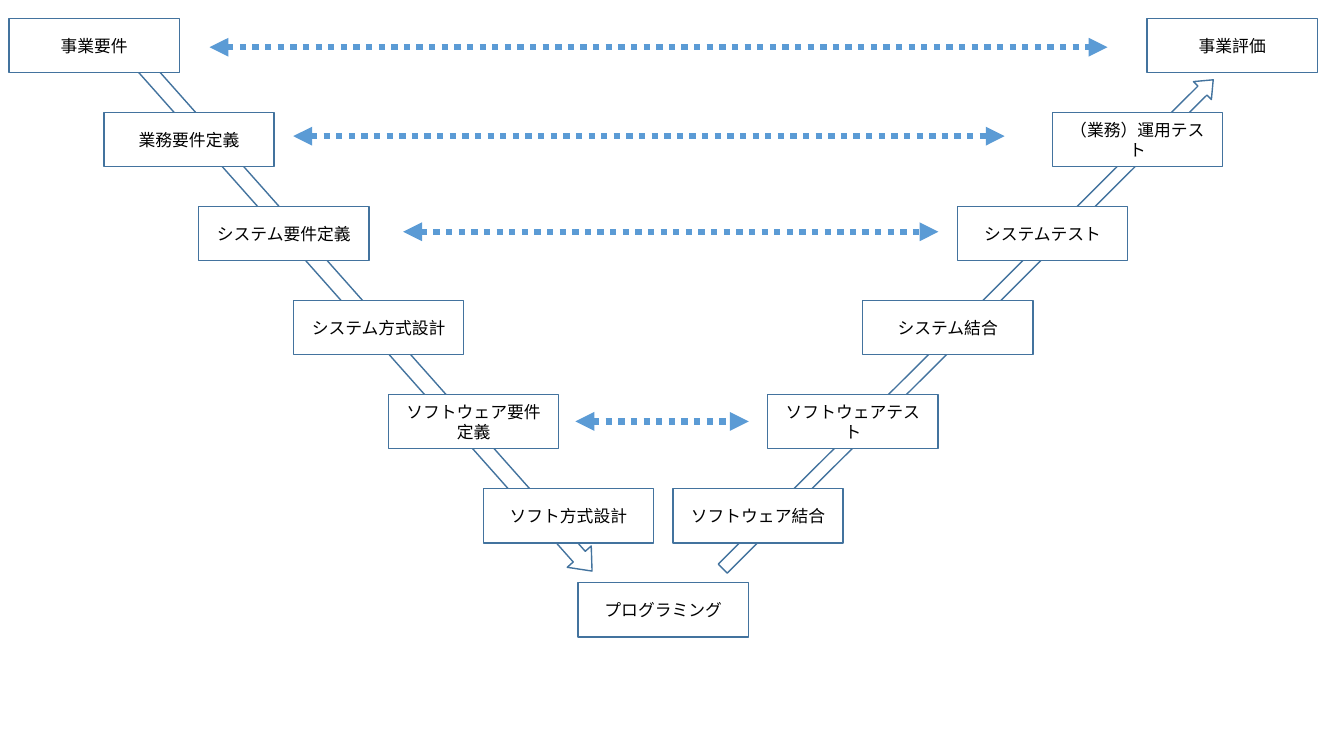
"""Draw the V-model of development phases and the tests that match them."""
from lxml.etree import SubElement
from pptx import Presentation
from pptx.dml.color import RGBColor
from pptx.enum.dml import MSO_LINE
from pptx.enum.shapes import MSO_CONNECTOR, MSO_SHAPE
from pptx.enum.text import MSO_ANCHOR, PP_ALIGN
from pptx.oxml.ns import qn
from pptx.util import Cm, Pt

WHITE = RGBColor(0xFF, 0xFF, 0xFF)
BLACK = RGBColor(0x00, 0x00, 0x00)
OUTLINE = RGBColor(0x43, 0x73, 0x9E)
LINK_BLUE = RGBColor(0x5B, 0x9B, 0xD5)

PHASES = [
    "事業要件", "業務要件定義", "システム要件定義", "システム方式設計",
    "ソフトウェア要件定義", "ソフト方式設計", "プログラミング",
    "ソフトウェア結合", "ソフトウェアテスト", "システム結合",
    "システムテスト", "（業務）運用テスト", "事業評価",
]
FIRST_LEFT, FIRST_TOP = 0.23, 0.46
STEP_X, STEP_Y = 2.39, 2.37
PHASE_WIDTH, PHASE_HEIGHT = 4.29, 1.37

FLOWS = [
    (15.67, 7.85, 17.45, 0.64, 315.1),
    (-0.38, 7.11, 18.39, 0.81, 48.4),
]
LINKS = [
    (5.28, 27.91, 1.19),
    (7.39, 25.32, 3.43),
    (10.16, 23.65, 5.84),
    (14.5, 18.87, 10.62),
]

presentation = Presentation()
presentation.slide_width = Cm(33.87)
presentation.slide_height = Cm(19.05)
slide = presentation.slides.add_slide(presentation.slide_layouts[6])


def add_outlined(preset, left, top, width, height):
    outlined = slide.shapes.add_shape(preset, Cm(left), Cm(top), Cm(width), Cm(height))
    outlined.shadow.inherit = False
    outlined.fill.solid()
    outlined.fill.fore_color.rgb = WHITE
    outlined.line.color.rgb = OUTLINE
    outlined.line.width = Pt(1)
    return outlined


for left, top, length, thickness, angle in FLOWS:
    flow = add_outlined(MSO_SHAPE.RIGHT_ARROW, left, top, length, thickness)
    flow.rotation = angle
    flow.adjustments[0] = 0.5
    flow.adjustments[1] = 0.6

bottom = len(PHASES) // 2
for index, title in enumerate(PHASES):
    level = bottom - abs(bottom - index)
    phase = add_outlined(
        MSO_SHAPE.RECTANGLE,
        FIRST_LEFT + index * STEP_X, FIRST_TOP + level * STEP_Y,
        PHASE_WIDTH, PHASE_HEIGHT,
    )
    phase.text_frame.word_wrap = True
    phase.text_frame.vertical_anchor = MSO_ANCHOR.MIDDLE
    label = phase.text_frame.paragraphs[0]
    label.alignment = PP_ALIGN.CENTER
    wording = label.add_run()
    wording.text = title
    for attribute, value in {"name": "Calibri", "size": Pt(12)}.items():
        setattr(wording.font, attribute, value)
    wording.font.color.rgb = BLACK

for start, end, height in LINKS:
    link = slide.shapes.add_connector(
        MSO_CONNECTOR.STRAIGHT, Cm(start), Cm(height), Cm(end), Cm(height)
    )
    link.line.color.rgb = LINK_BLUE
    link.line.width = Pt(4.5)
    link.line.dash_style = MSO_LINE.ROUND_DOT
    properties = link.element.spPr
    stroke = properties.find(qn("a:ln"))
    for tip in ("a:headEnd", "a:tailEnd"):
        SubElement(stroke, qn(tip), type="triangle")
    SubElement(properties, qn("a:effectLst"))

presentation.save("out.pptx")
